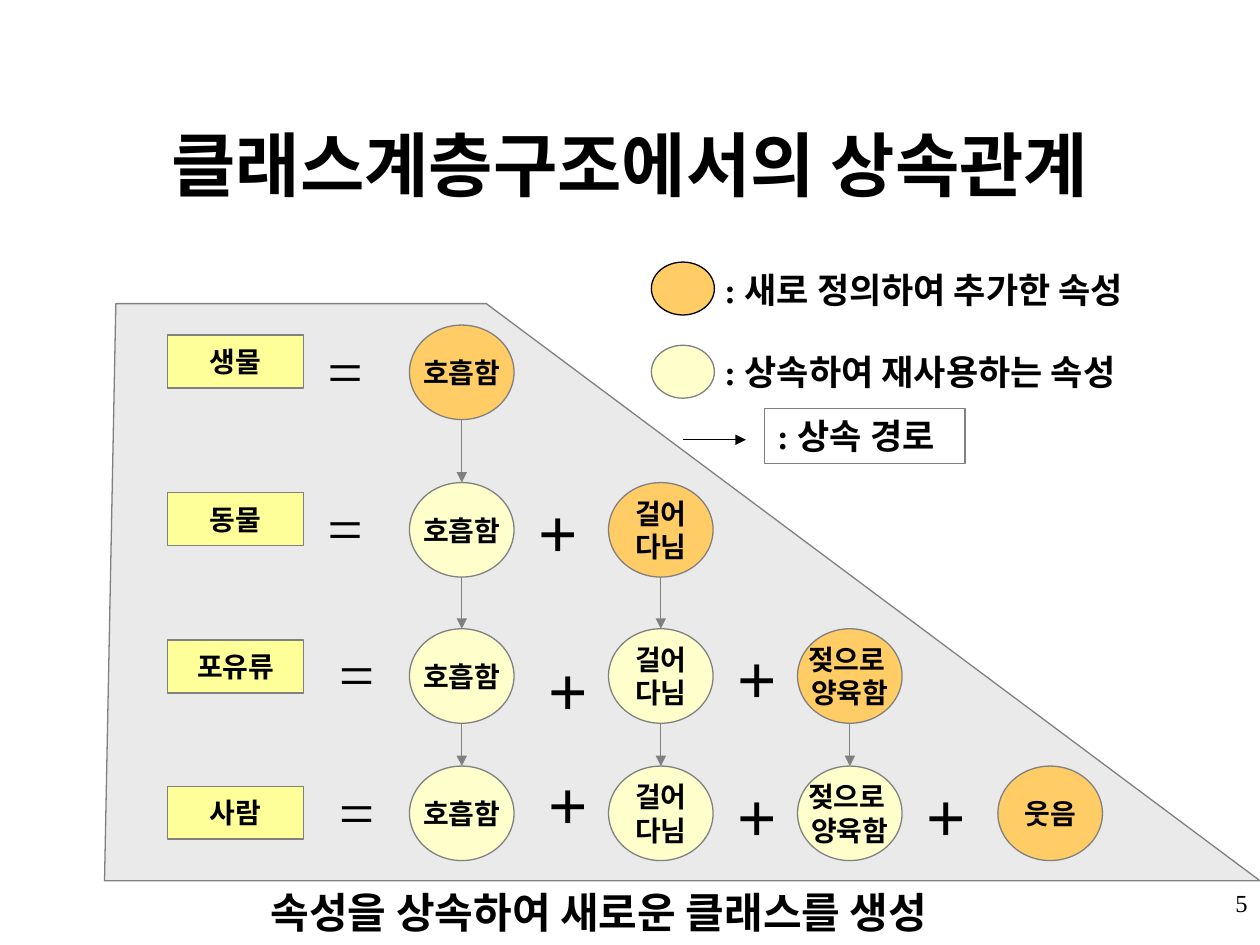
from dataclasses import dataclass

from lxml import etree
from pptx import Presentation
from pptx.dml.color import RGBColor
from pptx.enum.shapes import MSO_CONNECTOR, MSO_SHAPE
from pptx.enum.text import MSO_ANCHOR, MSO_AUTO_SIZE, PP_ALIGN
from pptx.oxml.ns import qn
from pptx.util import Inches, Pt

RECTANGLE, ELLIPSE = MSO_SHAPE.RECTANGLE, MSO_SHAPE.OVAL
STRAIGHT = MSO_CONNECTOR.STRAIGHT
LEFT, CENTER, RIGHT = PP_ALIGN.LEFT, PP_ALIGN.CENTER, PP_ALIGN.RIGHT
TOP, MIDDLE = MSO_ANCHOR.TOP, MSO_ANCHOR.MIDDLE
GROW = MSO_AUTO_SIZE.SHAPE_TO_FIT_TEXT


@dataclass(frozen=True)
class Theme:
    font: str = "Times New Roman"
    ink: str = "000000"
    outline: str = "808080"
    backdrop: str = "EAEAEA"
    label: str = "FFFF99"
    new: str = "FFCC66"
    inherited: str = "FFFFCC"
    line_width: float = 0.75
    title_size: int = 40
    plus_size: int = 40
    equals_size: int = 36
    caption_size: int = 24
    legend_size: int = 20
    node_size: int = 16
    number_size: int = 14


THEME = Theme()

# Grid: one row per class, one column per attribute (inches)
ROW_TOPS = [2.58, 3.83, 4.99, 6.08]
LABEL_TOPS = [2.66, 3.91, 5.08, 6.24]
EQUALS_LEFTS = [2.5, 2.5, 2.59, 2.59]
COLUMN_LEFTS = [3.25, 4.83, 6.33, 7.92]
NODE_WIDTH, NODE_HEIGHT = 0.83, 0.75
PLUS_LEFT, PLUS_STEP = 4.25, 1.5
PLUS_NUDGES = {(1, 1): (-0.08, 0), (2, 1): (0, 0.09), (3, 1): (0, -0.09)}

CLASSES = ["생물", "동물", "포유류", "사람"]
ATTRIBUTES = ["호흡함", "걸어\n다님", "젖으로 \n양육함", "웃음"]


def color(value):
    return RGBColor.from_string(value)


def write(shape, text, size, bold=True, align=LEFT, anchor=TOP, wrap=False):
    frame = shape.text_frame
    frame.text = text
    frame.word_wrap = wrap
    frame.vertical_anchor = anchor
    for paragraph in frame.paragraphs:
        paragraph.alignment = align
        for run in paragraph.runs:
            run.font.name = THEME.font
            run.font.size = Pt(size)
            run.font.bold = bold
            run.font.color.rgb = color(THEME.ink)


def add_text(slide, box, text, size, **style):
    shape = slide.shapes.add_textbox(*map(Inches, box))
    write(shape, text, size, **style)
    if not style.get("wrap"):
        shape.text_frame.auto_size = GROW
    return shape


def paint(shape, fill, line=THEME.outline):
    shape.shadow.inherit = False
    if fill:
        shape.fill.solid()
        shape.fill.fore_color.rgb = color(fill)
    else:
        shape.fill.background()
    shape.line.color.rgb = color(line)
    shape.line.width = Pt(THEME.line_width)


def add_node(slide, kind, box, fill, text="", line=THEME.outline):
    shape = slide.shapes.add_shape(kind, *map(Inches, box))
    paint(shape, fill, line)
    if text:
        write(shape, text, THEME.node_size, align=CENTER, anchor=MIDDLE)
    return shape


def add_arrow(slide, start, end, line=THEME.outline):
    arrow = slide.shapes.add_connector(STRAIGHT, *map(Inches, start + end))
    arrow.line.color.rgb = color(line)
    arrow.line.width = Pt(THEME.line_width)
    etree.SubElement(arrow.line._get_or_add_ln(), qn("a:tailEnd"), type="triangle")
    etree.SubElement(arrow._element.spPr, qn("a:effectLst"))


def add_backdrop(slide):
    corners = [(0.83, 6.99), (0.92, 2.41), (3.86, 2.41), (10, 6.99)]
    points = [(Inches(x), Inches(y)) for x, y in corners]
    builder = slide.shapes.build_freeform(*points[0])
    builder.add_line_segments(points[1:], close=True)
    paint(builder.convert_to_shape(), THEME.backdrop)


def add_class_row(slide, row):
    top = ROW_TOPS[row]
    add_node(slide, RECTANGLE, (1.33, LABEL_TOPS[row], 1.08, 0.42),
             THEME.label, CLASSES[row])
    add_text(slide, (EQUALS_LEFTS[row], top, 0.48, 0.7), "=",
             THEME.equals_size, bold=False)

    for column in range(row + 1):
        left = COLUMN_LEFTS[column]
        fill = THEME.new if column == row else THEME.inherited
        add_node(slide, ELLIPSE, (left, top, NODE_WIDTH, NODE_HEIGHT),
                 fill, ATTRIBUTES[column])
        # Inheritance path from the row above
        if column < row:
            center = left + NODE_WIDTH / 2
            add_arrow(slide, (center, ROW_TOPS[row - 1] + NODE_HEIGHT), (center, top))
        if column > 0:
            shift_x, shift_y = PLUS_NUDGES.get((row, column), (0, 0))
            plus_left = PLUS_LEFT + (column - 1) * PLUS_STEP + shift_x
            add_text(slide, (plus_left, top + shift_y, 0.51, 0.77), "+",
                     THEME.plus_size)


def add_legend(slide):
    add_node(slide, ELLIPSE, (5.17, 2.74, 0.5, 0.42), THEME.inherited)
    add_node(slide, ELLIPSE, (5.17, 2.08, 0.5, 0.42), THEME.new, line=THEME.ink)
    meanings = add_text(slide, (5.65, 2.08, 3.66, 1.44),
                        ": 새로 정의하여 추가한 속성\n: 상속하여 재사용하는 속성",
                        THEME.legend_size)
    meanings.text_frame.paragraphs[1].space_before = Pt(23)

    add_arrow(slide, (5.42, 3.49), (5.92, 3.49), THEME.ink)
    path_label = add_node(slide, RECTANGLE, (6.07, 3.24, 1.59, 0.44), None)
    write(path_label, ": 상속 경로", THEME.legend_size)
    path_label.text_frame.auto_size = GROW


def main():
    presentation = Presentation()
    presentation.slide_width, presentation.slide_height = Inches(10), Inches(7.5)
    slide = presentation.slides.add_slide(presentation.slide_layouts[6])

    # Title
    add_text(slide, (0.75, 0.67, 8.5, 1.25), "클래스계층구조에서의 상속관계",
             THEME.title_size, align=CENTER, anchor=MIDDLE, wrap=True)

    # Class hierarchy
    add_backdrop(slide)
    for row in range(len(CLASSES)):
        add_class_row(slide, row)

    add_legend(slide)

    # Caption and slide number
    add_text(slide, (2.05, 6.99, 5.77, 0.5), "속성을 상속하여 새로운 클래스를 생성",
             THEME.caption_size)
    add_text(slide, (7.92, 7, 2.08, 0.5), "5", THEME.number_size,
             bold=False, align=RIGHT, wrap=True)

    presentation.save("out.pptx")


if __name__ == "__main__":
    main()
